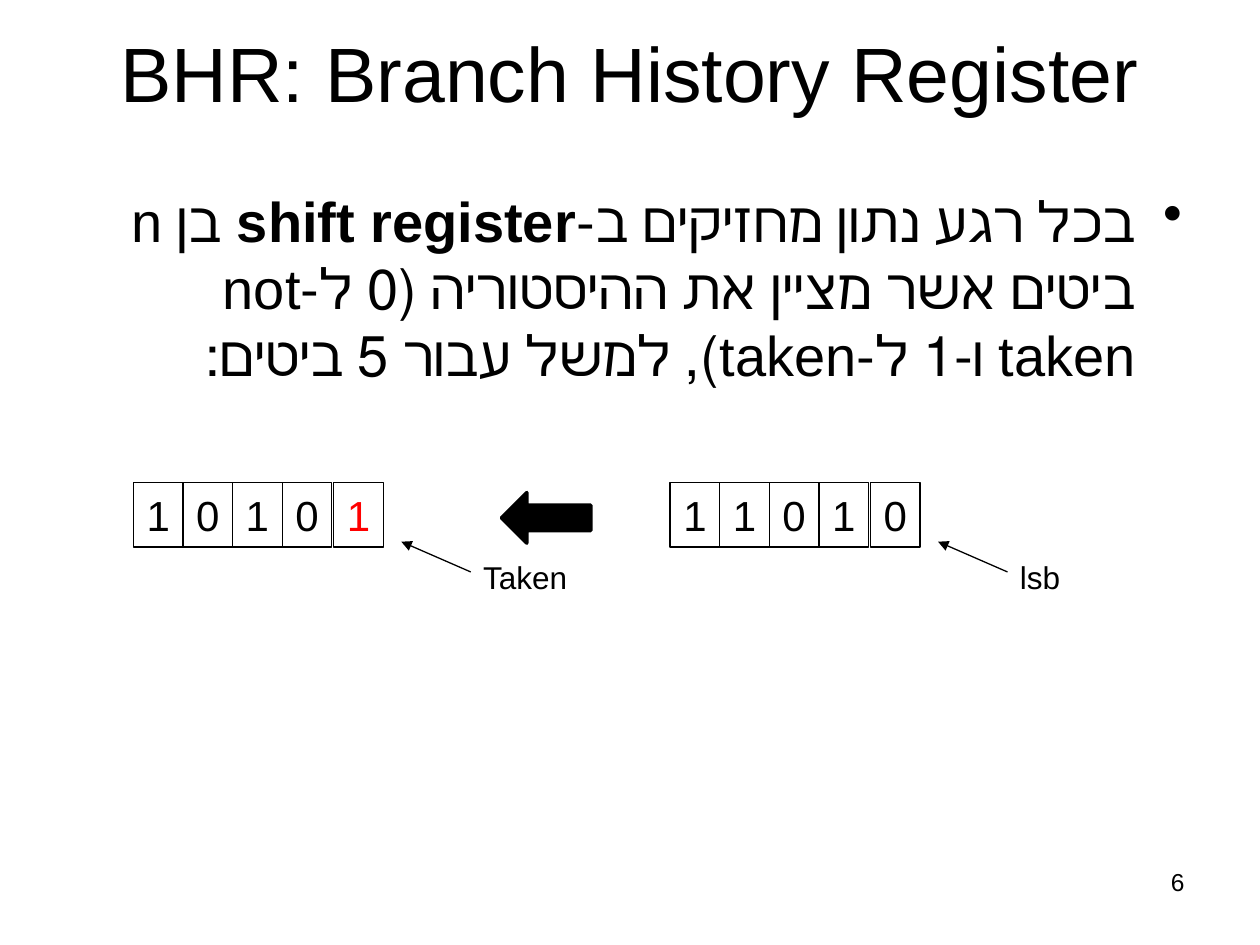
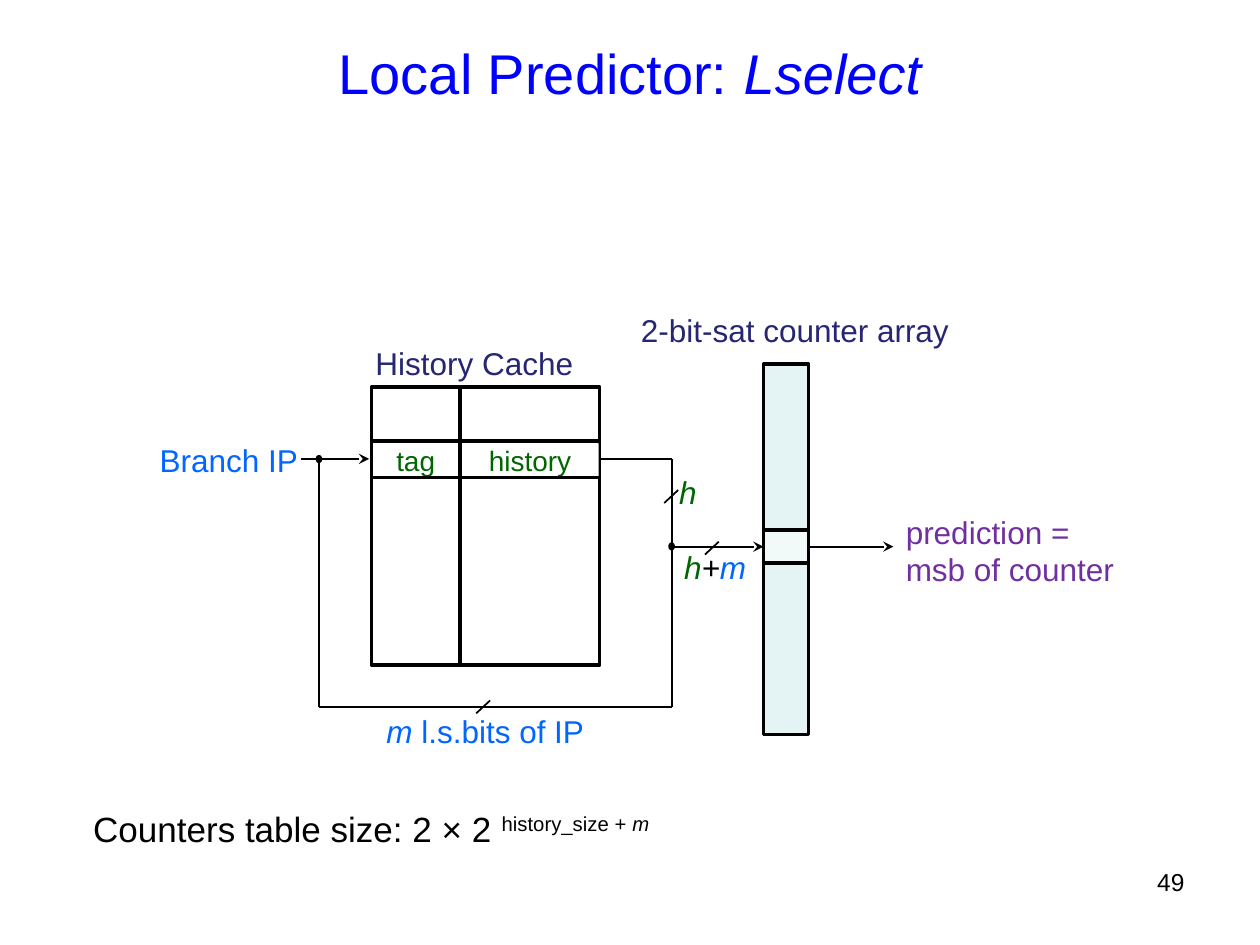
"""Build two slides on branch history and the local predictor."""
from dataclasses import dataclass, field
from typing import Optional

from lxml import etree
from pptx import Presentation
from pptx import util as u
from pptx.dml.color import RGBColor
from pptx.enum import shapes as s, text as t
from pptx.oxml import ns

BLACK = RGBColor(0, 0, 0)
WHITE = RGBColor(255, 255, 255)
RED = RGBColor(255, 0, 0)
BLUE = RGBColor(0, 0, 255)
SKY = RGBColor(0, 0x66, 255)
NAVY = RGBColor(0x26, 0x26, 0x73)
GREEN = RGBColor(0, 0x66, 0)
PURPLE = RGBColor(0x70, 0x30, 0xA0)
MIST = RGBColor(0xE4, 0xF3, 0xF4)
PALE = RGBColor(0xF1, 0xF9, 0xF9)

FONT = "Arial"
LEFT, MID, RIGHT = t.PP_ALIGN.LEFT, t.PP_ALIGN.CENTER, t.PP_ALIGN.RIGHT
RECT = s.MSO_SHAPE.RECTANGLE


@dataclass
class Run:
    text: str
    color: Optional[RGBColor] = None
    bold: Optional[bool] = None
    slant: Optional[bool] = None
    sup: bool = False


@dataclass
class Label:
    x: float
    y: float
    w: float
    h: float
    lines: list
    size: float = 18
    color: RGBColor = BLACK
    align: int = LEFT
    wrap: bool = False


@dataclass
class Box:
    x: float
    y: float
    w: float
    h: float
    fill: Optional[RGBColor] = None
    line: float = 0
    kind: int = RECT


@dataclass
class Wire:
    x1: float
    y1: float
    x2: float
    y2: float
    width: float = 1
    tip: str = ""


@dataclass
class Shift:
    x: float
    bits: str
    note: str
    last: RGBColor = BLACK
    width: float = field(default=1.0)


def write(para, runs: list, size: float, color: RGBColor, align: int) -> None:
    """Fill a paragraph, formatting runs only where they differ."""
    para.alignment = align
    para.font.name, para.font.size = FONT, u.Pt(size)
    para.font.color.rgb = color
    for part in runs:
        run = para.add_run()
        run.text = part.text
        if part.color is not None:
            run.font.color.rgb = part.color
        if part.bold is not None:
            run.font.bold = part.bold
        if part.slant is not None:
            run.font.italic = part.slant
        if part.sup:
            run.font._element.set("baseline", "30000")


def label(slide, item: Label):
    """Add a text box and return its text frame."""
    box = slide.shapes.add_textbox(*map(u.Cm, (item.x, item.y, item.w, item.h)))
    frame = box.text_frame
    frame.word_wrap = item.wrap
    frame.auto_size = (t.MSO_AUTO_SIZE.NONE if item.wrap
                       else t.MSO_AUTO_SIZE.SHAPE_TO_FIT_TEXT)
    for i, runs in enumerate(item.lines):
        para = frame.add_paragraph() if i else frame.paragraphs[0]
        write(para, runs, item.size, item.color, item.align)
    return frame


def shape(slide, item: Box):
    """Add a preset shape with a black outline or none."""
    box = slide.shapes.add_shape(
        item.kind, *map(u.Cm, (item.x, item.y, item.w, item.h)))
    box.shadow.inherit = False
    if item.fill is None:
        box.fill.background()
    else:
        box.fill.solid()
        box.fill.fore_color.rgb = item.fill
    if item.line:
        box.line.color.rgb = BLACK
        box.line.width = u.Pt(item.line)
    else:
        box.line.fill.background()
    return box


def inside(box, word: str, size: float, color: RGBColor) -> None:
    """Centre one word in a shape."""
    frame = box.text_frame
    frame.margin_left = frame.margin_right = 0
    frame.margin_top = frame.margin_bottom = 0
    frame.vertical_anchor = t.MSO_ANCHOR.MIDDLE
    frame.word_wrap = False
    write(frame.paragraphs[0], [Run(word)], size, color, MID)


def wire(slide, item: Wire):
    """Add a straight black line, with a tip at its end if asked."""
    line = slide.shapes.add_connector(
        s.MSO_CONNECTOR.STRAIGHT,
        *map(u.Cm, (item.x1, item.y1, item.x2, item.y2)))
    line.line.color.rgb = BLACK
    line.line.width = u.Pt(item.width)
    if item.tip:
        pen = line.line._get_or_add_ln()
        etree.SubElement(pen, ns.qn("a:tailEnd"), type=item.tip)
    etree.SubElement(line._element.spPr, ns.qn("a:effectLst"))
    return line


def start(deck, runs: list, size: float, color: RGBColor, page: int):
    """Add a slide with its title and page number."""
    slide = deck.slides.add_slide(deck.slide_layouts[5])
    head = slide.shapes.title
    head.left, head.top = u.Cm(1.27), u.Cm(0.76)
    head.width, head.height = u.Cm(22.86), u.Cm(1.37)
    frame = head.text_frame
    frame.auto_size = t.MSO_AUTO_SIZE.NONE
    frame.vertical_anchor = t.MSO_ANCHOR.MIDDLE
    write(frame.paragraphs[0], runs, size, color, MID)
    label(slide, Label(18.21, 17.35, 5.92, 1.32, [[Run(str(page))]], 14,
                       align=RIGHT, wrap=True))
    return slide


def shift(slide, reg: Shift) -> None:
    """Draw a register of bits with a note on its last bit."""
    end = len(reg.bits) - 1
    for i, bit in enumerate(reg.bits):
        gap = 0.04 if i == end else 0
        cell = shape(slide, Box(reg.x + i * reg.width + gap, 9.73,
                                reg.width, 1.3, line=0.75))
        inside(cell, bit, 24, reg.last if i == end else BLACK)
    side = reg.x + 6.8
    label(slide, Label(side, 11.13, 2.39, 1.02, [[Run(reg.note)]], wrap=True))
    wire(slide, Wire(side, 11.53, side - 1.4, 10.92, 0.75, "triangle"))


def history(deck) -> None:
    """Build the slide on the history register."""
    slide = start(deck, [Run("BHR: Branch History Register")], 44, BLACK, 6)
    body = Label(1.27, 3.63, 22.83, 4.47, [], 32, wrap=True)
    para = label(slide, body).paragraphs[0]
    props = para._p.get_or_add_pPr()
    for key, val in (("marL", u.Cm(0.95)), ("indent", -u.Cm(0.95)), ("rtl", 1)):
        props.set(key, str(int(val)))
    etree.SubElement(props, ns.qn("a:buChar"), char="•")
    write(para, [
        Run("בכל רגע נתון מחזיקים ב-"),
        Run("shift register ", bold=True),
        Run("בן n ביטים אשר מציין את ההיסטוריה (0 ל-not taken ו-1 ל-taken), "
            "למשל עבור 5 ביטים:"),
    ], body.size, body.color, RIGHT)
    shift(slide, Shift(13.51, "11010", "lsb"))
    shift(slide, Shift(2.69, "10101", "Taken", RED))
    shape(slide, Box(10.11, 9.93, 1.8, 1.02, BLACK, 2, s.MSO_SHAPE.LEFT_ARROW))


def local(deck) -> None:
    """Build the slide on the local predictor."""
    slide = start(deck, [Run("Local Predictor: "), Run("Lselect", slant=True)],
                  32, BLUE, 49)
    size = label(slide, Label(1.63, 15.98, 22.71, 1.19, [[
        Run("Counters table size: 2 × 2 "), Run("history_size + ", sup=True),
        Run("m", slant=True, sup=True)]], 20, wrap=True))
    size.paragraphs[0].line_spacing = 1.2

    shape(slide, Box(15.39, 7.34, 0.91, 7.47, MIST, 2))
    count = shape(slide, Box(15.39, 10.69, 0.91, 0.66, PALE, 2))
    shape(slide, Box(7.49, 7.8, 4.6, 5.61, WHITE, 2))
    for x, w, word in ((7.54, 1.68, "tag"), (9.3, 2.77, "history")):
        inside(shape(slide, Box(x, 8.94, w, 0.66, WHITE)), word, 16, GREEN)
    for x, y in ((13.49, 10.95), (6.38, 9.19)):
        shape(slide, Box(x, y, 0.1, 0.13, BLACK, 1, s.MSO_SHAPE.OVAL))

    for item in (
        Wire(7.49, 8.89, 12.09, 8.89, 2),
        Wire(7.49, 9.63, 12.09, 9.63, 2),
        Wire(9.27, 7.82, 9.27, 13.41, 2),
        Wire(12.09, 9.26, 13.54, 9.26),
        Wire(6.07, 9.25, 7.44, 9.25, tip="stealth"),
        Wire(6.43, 9.25, 6.43, 14.25),
        Wire(6.43, 14.25, 13.54, 14.25),
        Wire(13.54, 9.25, 13.54, 14.25),
    ):
        wire(slide, item)
    for x, y in ((13.53, 10.01), (9.74, 14.25), (14.35, 11.05)):
        wire(slide, Wire(x + 0.14, y - 0.13, x - 0.14, y + 0.13))
    wire(slide, Wire(13.54, 11.02, 15.39, 11.02, tip="stealth")).end_connect(count, 1)
    wire(slide, Wire(16.3, 11.02, 18.01, 11.02, tip="stealth")).begin_connect(count, 3)

    for item in (
        Label(18.01, 10.21, 4.75, 1.8,
              [[Run("prediction =")], [Run("msb of counter")]], color=PURPLE),
        Label(2.97, 8.76, 3.33, 1.02, [[Run("Branch IP")]], color=SKY),
        Label(12.67, 6.15, 7.29, 1.02, [[Run("2-bit-sat counter array")]],
              color=NAVY),
        Label(7.32, 6.81, 4.83, 1.02, [[Run("History Cache")]], color=NAVY),
        Label(13.44, 9.42, 0.86, 1.02, [[Run("h", slant=True)]], color=GREEN),
        Label(13.54, 10.92, 1.78, 1.02, [[
            Run("h", GREEN, slant=True), Run("+", slant=True),
            Run("m", SKY, slant=True)]]),
        Label(7.54, 14.22, 4.72, 1.02,
              [[Run("m", slant=True), Run(" l.s.bits of IP")]], color=SKY),
    ):
        label(slide, item)


def main() -> None:
    """Build and save the deck."""
    deck = Presentation()
    deck.slide_width, deck.slide_height = u.Cm(25.4), u.Cm(19.05)
    history(deck)
    local(deck)
    deck.save("out.pptx")


if __name__ == "__main__":
    main()
